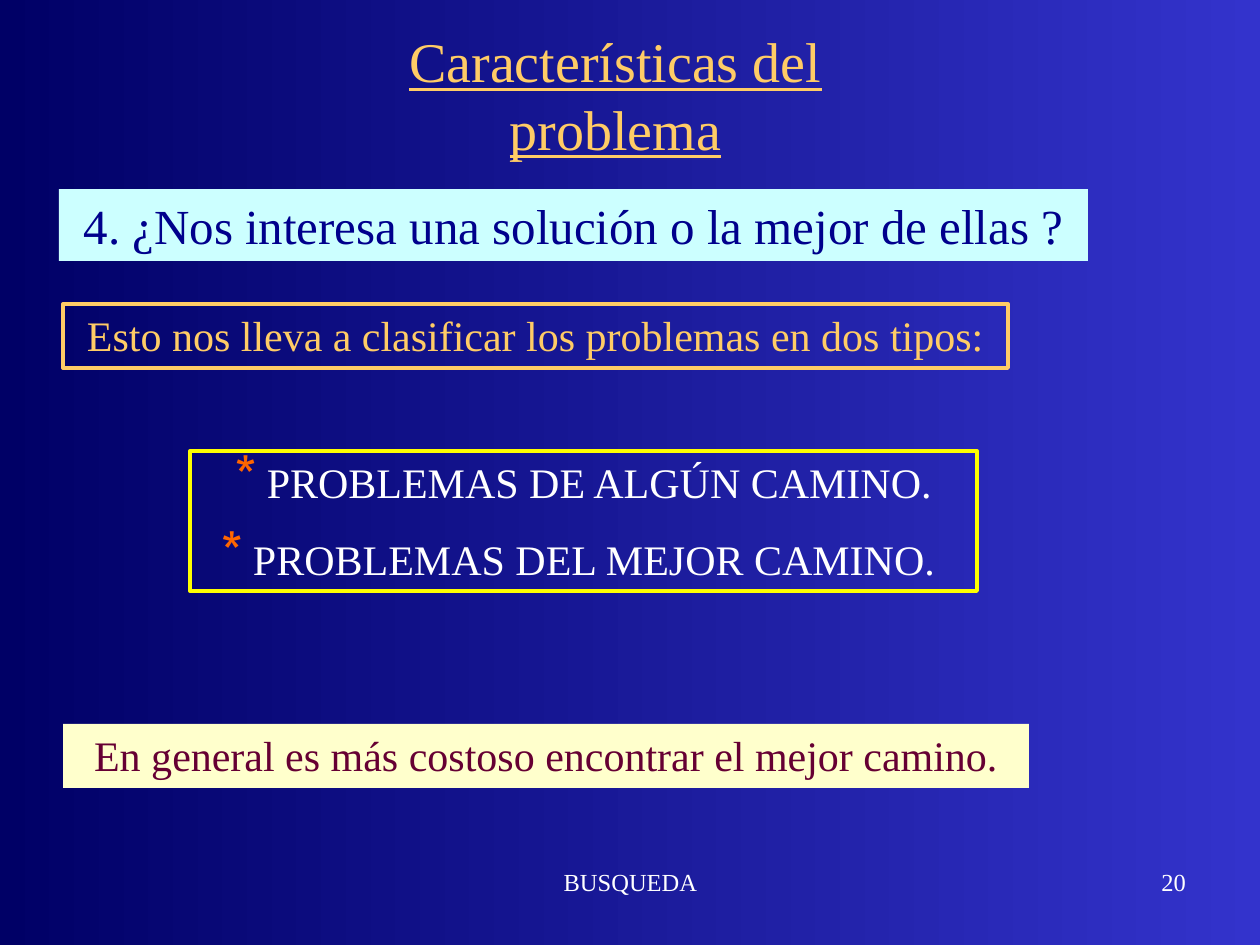
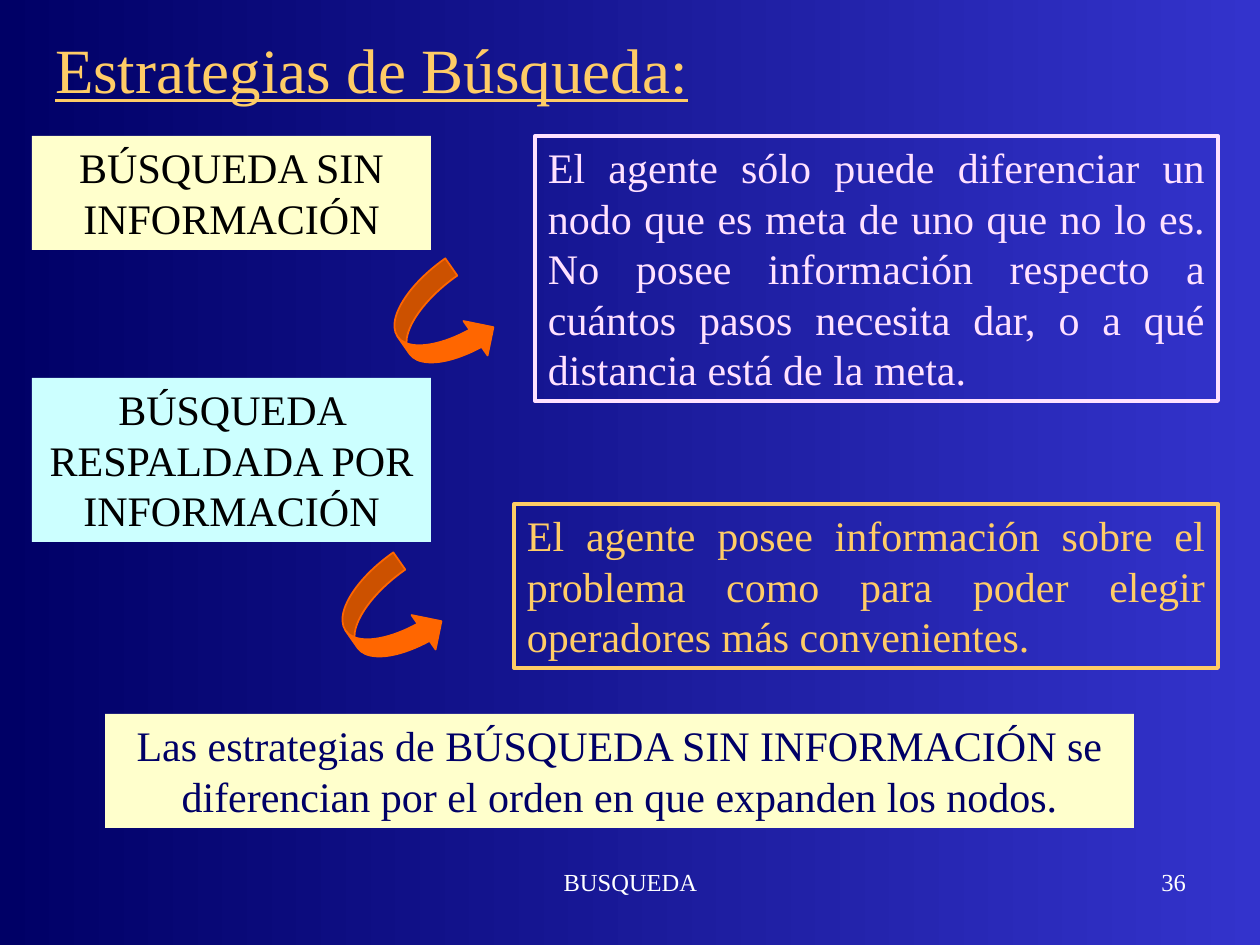
from lxml import etree
from pptx import Presentation
from pptx.dml.color import RGBColor
from pptx.enum.shapes import MSO_SHAPE
from pptx.enum.text import MSO_ANCHOR, PP_ALIGN
from pptx.oxml.ns import qn
from pptx.util import Emu, Pt

RECTANGLE = MSO_SHAPE.RECTANGLE
CURVED_ARROW = MSO_SHAPE.CURVED_RIGHT_ARROW
TOP, MIDDLE = MSO_ANCHOR.TOP, MSO_ANCHOR.MIDDLE
LEFT, CENTER, RIGHT, JUSTIFY = PP_ALIGN.LEFT, PP_ALIGN.CENTER, PP_ALIGN.RIGHT, PP_ALIGN.JUSTIFY

EMU_PER_PX = 914400 / 126
SLIDE_SIZE = (1260, 945)
FONT = "Times New Roman"
COLORS = {
    "blue": "3333CC", "navy": "000066", "ink": "00008C", "gold": "FFCC66",
    "aqua": "CCFFFF", "cream": "FFFFCC", "yellow": "FFFF00", "orange": "FF6600",
    "wine": "660033", "pink": "FFE1FF", "white": "FFFFFF", "black": "000000",
}
INSETS = {"margin_left": 13, "margin_right": 13, "margin_top": 6, "margin_bottom": 6}
FOOTER_BOX = (431, 861, 768, 63)
FOOTER_TEXT_WIDTH = 399
NUMBER_WIDTH = 262


def px(value):
    return Emu(round(value * EMU_PER_PX))


def color(name):
    return RGBColor.from_string(COLORS[name])


def set_values(target, values):
    for name, value in values.items():
        setattr(target, name, value)


def add_bullet(paragraph):
    properties = paragraph._p.get_or_add_pPr()
    properties.set("marL", "0")
    properties.set("indent", "0")
    bullet_color = etree.SubElement(properties, qn("a:buClr"))
    etree.SubElement(bullet_color, qn("a:srgbClr"), val=COLORS["orange"])
    etree.SubElement(properties, qn("a:buSzPct"), val="130000")
    etree.SubElement(properties, qn("a:buChar"), char="*")


def write_text(shape, lines, size, text_color, alignment=CENTER, anchor=TOP,
               wrap=True, underline=False, bullets=False):
    frame = shape.text_frame
    set_values(frame, {"word_wrap": wrap, "vertical_anchor": anchor})
    set_values(frame, {name: px(value) for name, value in INSETS.items()})
    for index, line in enumerate(lines):
        paragraph = frame.add_paragraph() if index else frame.paragraphs[0]
        set_values(paragraph, {"alignment": alignment, "space_before": Pt(15 if index else 0)})
        if bullets:
            add_bullet(paragraph)
        run = paragraph.add_run()
        run.text = line
        set_values(run.font, {"name": FONT, "size": Pt(size), "underline": underline})
        run.font.color.rgb = color(text_color)


def add_label(slide, box, text, size, text_color, **layout):
    shape = slide.shapes.add_textbox(*map(px, box))
    write_text(shape, [text], size, text_color, **layout)


def add_shape(slide, kind, box, fill=None, line=None, line_width=2.25):
    shape = slide.shapes.add_shape(kind, *map(px, box))
    shape.shadow.inherit = False
    if fill:
        shape.fill.solid()
        shape.fill.fore_color.rgb = color(fill)
    else:
        shape.fill.background()
    if line:
        shape.line.color.rgb = color(line)
        shape.line.width = Pt(line_width)
    else:
        shape.line.fill.background()
    return shape


def add_panel(slide, box, lines, text_color, fill=None, line=None, size=24, **layout):
    shape = add_shape(slide, RECTANGLE, box, fill, line)
    write_text(shape, lines, size, text_color, **layout)


def add_turn_arrow(slide, left, top):
    arrow = add_shape(slide, CURVED_ARROW, (left, top, 84, 105), "orange", "orange", 1)
    arrow.rotation = 325


def add_title(slide, box, text, size, **layout):
    add_label(slide, box, text, size, "gold", underline=True, **layout)


def add_footer(slide, box, number):
    left, top, width, height = box
    add_label(slide, (left, top, FOOTER_TEXT_WIDTH, height), "BUSQUEDA", 14, "white",
              alignment=CENTER)
    add_label(slide, (left + width - NUMBER_WIDTH, top, NUMBER_WIDTH, height),
              str(number), 14, "white", alignment=RIGHT)


def add_base_slide(presentation, number):
    slide = presentation.slides.add_slide(presentation.slide_layouts[6])
    fill = slide.background.fill
    fill.gradient()
    fill.gradient_angle = 180
    for stop, name in zip(fill.gradient_stops, ("blue", "navy")):
        stop.color.rgb = color(name)
    add_footer(slide, FOOTER_BOX, number)
    return slide


def add_problem_slide(presentation):
    slide = add_base_slide(presentation, 20)
    add_title(slide, (284, 21, 663, 81), "Características del problema", 32, wrap=False)
    add_panel(slide, (59, 189, 1029, 72),
              ["4. ¿Nos interesa una solución o la mejor de ellas ?"],
              "ink", fill="aqua", size=28)
    add_panel(slide, (63, 304, 945, 64),
              ["Esto nos lleva a clasificar los problemas en dos tipos:"],
              "gold", line="gold")
    add_panel(slide, (190, 451, 787, 140),
              [" PROBLEMAS DE ALGÚN CAMINO.", " PROBLEMAS DEL MEJOR CAMINO. "],
              "white", line="yellow", bullets=True)
    add_panel(slide, (63, 724, 966, 64),
              ["En general es más costoso encontrar el mejor camino."],
              "wine", fill="cream")


def add_strategy(slide, box, name, fill, explanation, accent, panel_offset, arrow_offset):
    left, top, width, height = box
    add_panel(slide, box, [name], "black", fill=fill)
    panel_left, panel_top, panel_width, panel_height = panel_offset
    add_panel(slide, (left + panel_left, top + panel_top, panel_width, panel_height),
              [explanation], accent, line=accent, alignment=JUSTIFY)
    arrow_left, arrow_top = arrow_offset
    add_turn_arrow(slide, left + arrow_left, top + arrow_top)


def add_strategies_slide(presentation):
    slide = add_base_slide(presentation, 36)
    add_title(slide, (42, 21, 662, 95), "Estrategias de Búsqueda:", 36,
              alignment=LEFT, anchor=MIDDLE)
    add_strategy(slide, (32, 136, 399, 114), "BÚSQUEDA SIN INFORMACIÓN", "cream",
                 "El agente sólo puede diferenciar un nodo que es meta de uno que no lo es. "
                 "No posee información respecto a cuántos pasos necesita dar, o a qué "
                 "distancia está de la meta.",
                 "pink", (503, 0, 683, 265), (367, 137))
    add_strategy(slide, (32, 378, 399, 164), "BÚSQUEDA RESPALDADA POR INFORMACIÓN", "aqua",
                 "El agente posee información sobre el problema como para poder elegir "
                 "operadores más convenientes.",
                 "gold", (482, 126, 704, 164), (315, 189))
    add_panel(slide, (105, 714, 1029, 114),
              ["Las estrategias de BÚSQUEDA SIN INFORMACIÓN se diferencian "
               "por el orden en que expanden los nodos."],
              "navy", fill="cream")


def main():
    presentation = Presentation()
    presentation.slide_width, presentation.slide_height = map(px, SLIDE_SIZE)
    add_problem_slide(presentation)
    add_strategies_slide(presentation)
    presentation.save("out.pptx")


if __name__ == "__main__":
    main()
